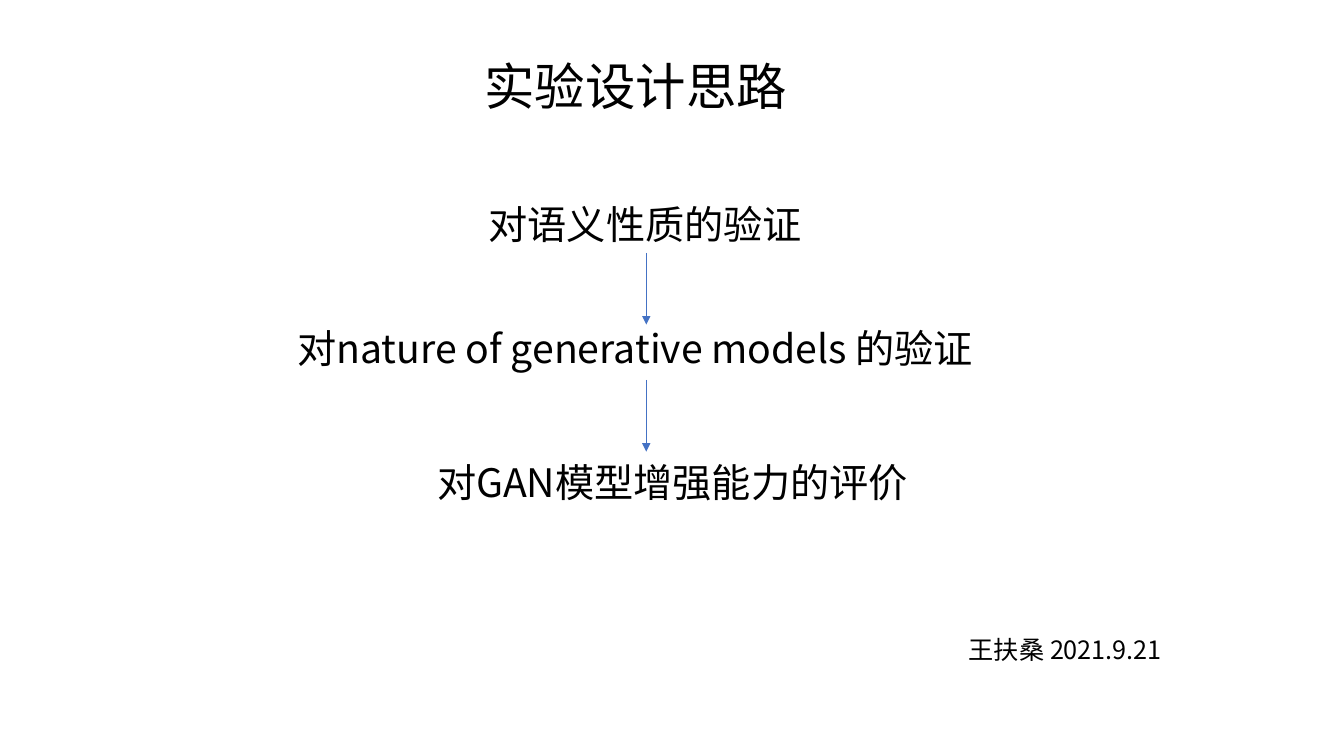
import pptx
import pptx.dml.color
import pptx.enum.shapes
import pptx.enum.text
import pptx.oxml.ns
import pptx.util
from lxml import etree

Inches = pptx.util.Inches
ANCHOR = pptx.enum.text.MSO_ANCHOR
ALIGN = pptx.enum.text.PP_ALIGN

BLACK = pptx.dml.color.RGBColor(0x00, 0x00, 0x00)
BLUE = pptx.dml.color.RGBColor(0x44, 0x72, 0xC4)
FONT = "Noto Sans CJK SC"
TITLE_ONLY_LAYOUT = 5


def apply_format(target, values):
    for name, value in values.items():
        setattr(target, name, value)


class SlideBuilder:
    def __init__(self, slide, font_name, text_color, arrow_color):
        self.slide = slide
        self.font_name = font_name
        self.text_color = text_color
        self.arrow_color = arrow_color

    def fill_text(self, shape, text, size, anchor, paragraph_format):
        frame = shape.text_frame
        apply_format(frame, {
            "word_wrap": True,
            "auto_size": pptx.enum.text.MSO_AUTO_SIZE.NONE,
            "vertical_anchor": anchor,
        })
        paragraph = frame.paragraphs[0]
        apply_format(paragraph, paragraph_format)
        run = paragraph.add_run()
        run.text = text
        apply_format(run.font, {"size": pptx.util.Pt(size), "name": self.font_name})
        run.font.color.rgb = self.text_color
        east_asian = etree.SubElement(run.font._element, pptx.oxml.ns.qn("a:ea"))
        east_asian.set("typeface", self.font_name)

    def title(self, text, left, top, width, height, size):
        shape = self.slide.shapes.title
        apply_format(shape, {
            "left": Inches(left), "top": Inches(top),
            "width": Inches(width), "height": Inches(height),
        })
        self.fill_text(shape, text, size, ANCHOR.MIDDLE, {"alignment": ALIGN.CENTER})

    def text_box(self, text, left, top, width, height, size,
                 anchor=ANCHOR.TOP, **paragraph_format):
        shape = self.slide.shapes.add_textbox(
            Inches(left), Inches(top), Inches(width), Inches(height))
        self.fill_text(shape, text, size, anchor, paragraph_format)

    def down_arrow(self, x, top, length):
        arrow = self.slide.shapes.add_connector(
            pptx.enum.shapes.MSO_CONNECTOR.STRAIGHT,
            Inches(x), Inches(top), Inches(x), Inches(top + length))
        arrow.line.color.rgb = self.arrow_color
        arrow.line.width = pptx.util.Pt(0.5)
        properties = arrow._element.spPr
        line = properties.find(pptx.oxml.ns.qn("a:ln"))
        etree.SubElement(line, pptx.oxml.ns.qn("a:tailEnd")).set("type", "triangle")
        etree.SubElement(properties, pptx.oxml.ns.qn("a:effectLst"))


def main():
    presentation = pptx.Presentation()
    apply_format(presentation, {
        "slide_width": Inches(13.33), "slide_height": Inches(7.5)})
    slide = presentation.slides.add_slide(
        presentation.slide_layouts[TITLE_ONLY_LAYOUT])
    builder = SlideBuilder(slide, FONT, BLACK, BLUE)

    builder.title("实验设计思路", 4.6, 0.54, 3.41, 0.61, size=36)
    builder.text_box("对语义性质的验证", 3.07, 1.94, 6.66, 0.57, size=28,
                     alignment=ALIGN.CENTER)
    later_steps = [
        ("对nature of generative models 的验证", 0.55, 3.19),
        ("对GAN模型增强能力的评价", 0.92, 4.52),
    ]
    for text, left, top in later_steps:
        builder.text_box(text, left, top, 11.5, 0.55, size=28,
                         anchor=ANCHOR.BOTTOM, alignment=ALIGN.CENTER,
                         line_spacing=0.9)
    for arrow_top in (2.51, 3.77):
        builder.down_arrow(6.41, arrow_top, length=0.71)
    builder.text_box("王扶桑 2021.9.21", 9.51, 6.24, 2.91, 0.4, size=18)

    presentation.save("out.pptx")


if __name__ == "__main__":
    main()
